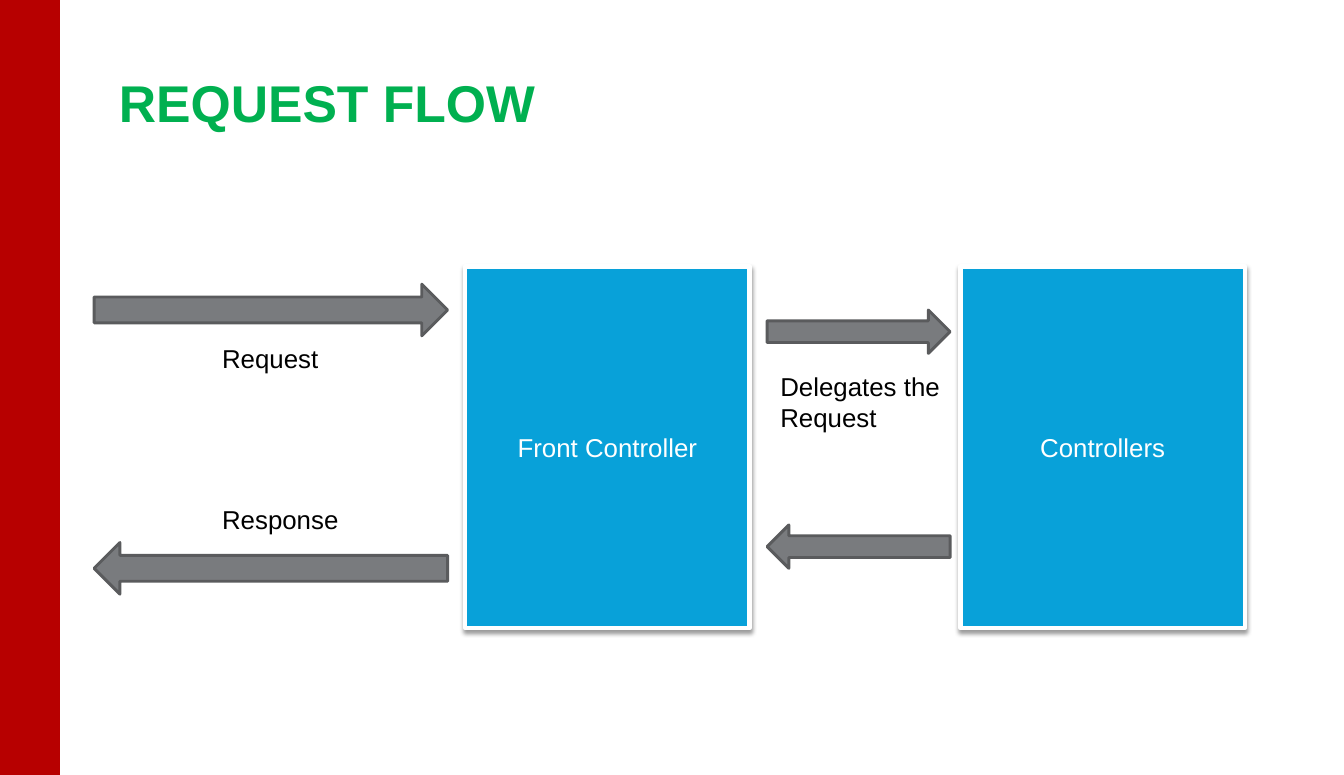
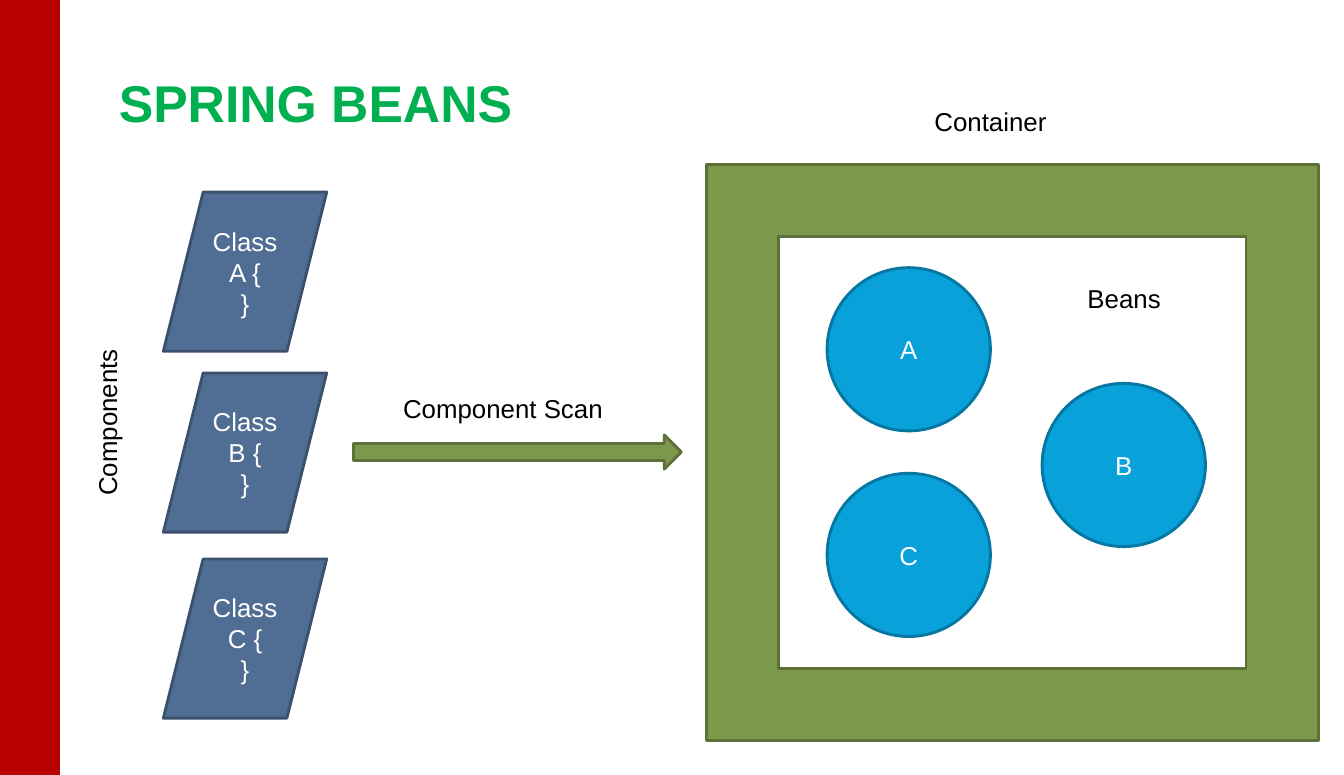
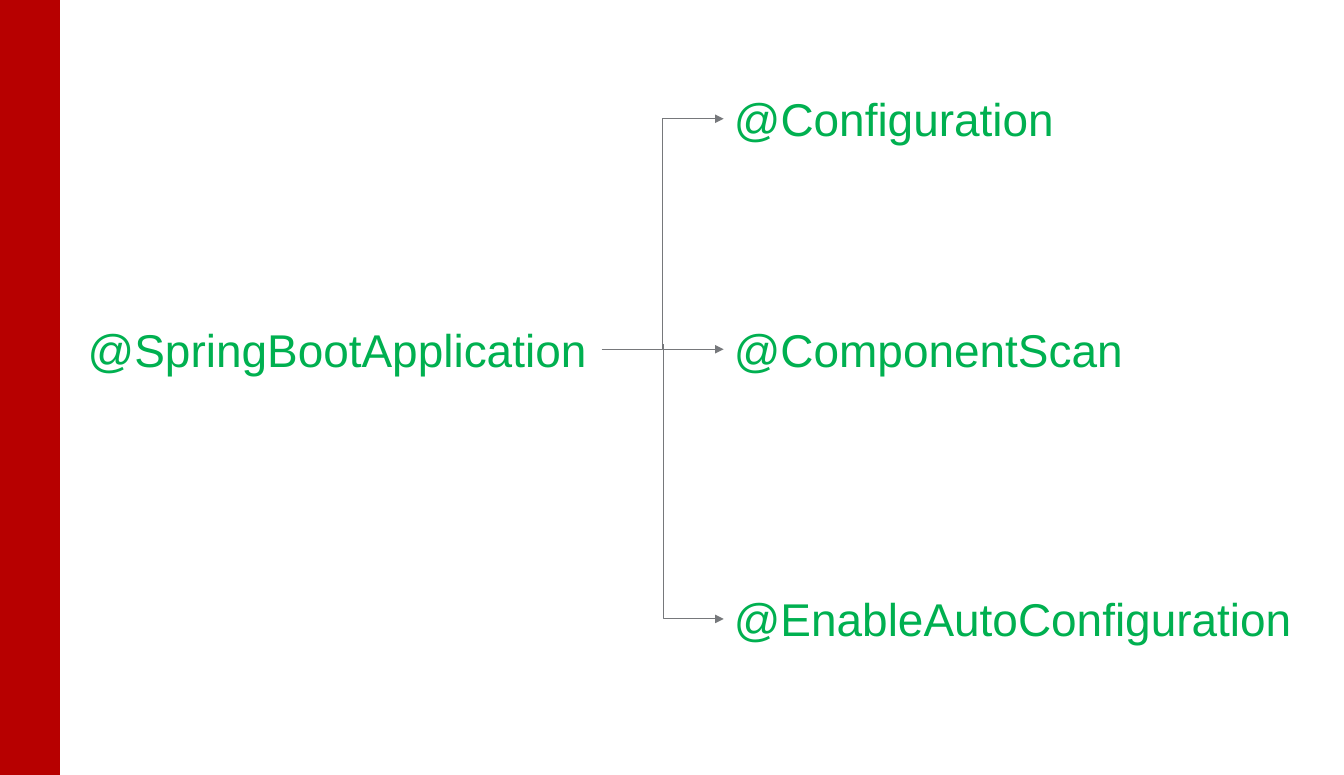
from lxml import etree
from pptx import Presentation
from pptx import util as u
from pptx.dml import color
from pptx.enum import shapes, text
from pptx.oxml import ns

Inches, Pt = u.Inches, u.Pt
SHAPE = shapes.MSO_SHAPE
FONT = "Arial"
COLORS = {
    "band": "B70000", "heading": "00B050", "text": "000000", "white": "FFFFFF",
    "blue": "08A1D9", "blue_edge": "0677A1",
    "gray": "797B7E", "gray_edge": "5A5B5D",
    "green": "7C984A", "green_edge": "5C7037",
    "navy": "506E94", "navy_edge": "3B516D",
    "link": "76787B",
}


def rgb(name):
    return color.RGBColor.from_string(COLORS[name])


def add_element(parent, tag, **attributes):
    return etree.SubElement(parent, ns.qn(tag), **attributes)


def write(box, lines, size, ink, bold=False, align=text.PP_ALIGN.LEFT):
    """Fill a box with one paragraph per line."""
    frame = box.text_frame
    for number, line in enumerate(lines):
        para = frame.add_paragraph() if number else frame.paragraphs[0]
        para.alignment = align
        span = para.add_run()
        span.text = line
        span.font.name, span.font.size, span.font.bold = FONT, Pt(size), bold
        span.font.color.rgb = rgb(ink)


def add_figure(slide, kind, place, fill, edge=None, lines=(), width=2, turn=0):
    """Preset shape with centred white text."""
    figure = slide.shapes.add_shape(kind, *map(Inches, place))
    figure.shadow.inherit = False
    figure.rotation = turn
    figure.fill.solid()
    figure.fill.fore_color.rgb = rgb(fill)
    if edge:
        figure.line.color.rgb = rgb(edge)
        figure.line.width = Pt(width)
    else:
        figure.line.fill.background()
    if lines:
        figure.text_frame.vertical_anchor = text.MSO_ANCHOR.MIDDLE
        write(figure, lines, 18, "white", align=text.PP_ALIGN.CENTER)
    return figure


def add_label(slide, place, *lines, size=18, ink="text", turn=0):
    """Unwrapped text box that hugs its text."""
    label = slide.shapes.add_textbox(*map(Inches, place))
    label.rotation = turn
    label.text_frame.word_wrap = False
    label.text_frame.auto_size = text.MSO_AUTO_SIZE.SHAPE_TO_FIT_TEXT
    write(label, lines, size, ink)


def add_title(slide, words):
    title = slide.shapes.add_textbox(Inches(0.92), Inches(0.58), Inches(10.92), Inches(2))
    title.text_frame.word_wrap = True
    title.text_frame.margin_left = Inches(0.23)
    title.text_frame.margin_top = Inches(0.11)
    write(title, [words], 36, "heading", bold=True)


def add_controller(slide, left, name):
    """Blue card with a white edge and a soft shadow below."""
    card = add_figure(slide, SHAPE.RECTANGLE, (left, 2.58, 2.75, 3.5),
                      "blue", "white", [name], width=3)
    effects = card.element.spPr.find(ns.qn("a:effectLst"))
    shadow = add_element(effects, "a:outerShdw", blurRad=str(Pt(3.1)), dist=str(Pt(1.6)),
                         dir="5400000", rotWithShape="0")
    ink = add_element(shadow, "a:srgbClr", val=COLORS["text"])
    add_element(ink, "a:alpha", val="38000")


def add_arrow(slide, start, end, kind=shapes.MSO_CONNECTOR.STRAIGHT):
    link = slide.shapes.add_connector(kind, *map(Inches, start + end))
    link.line.color.rgb = rgb("link")
    link.line.width = Pt(0.75)
    line = link.line._get_or_add_ln()
    add_element(line, "a:tailEnd", type="triangle")
    add_element(link.element.spPr, "a:effectLst")
    return link


def add_corner_arrow(slide, start, end):
    """One-bend arrow that runs down first, then right."""
    (x1, y1), (x2, y2) = start, end
    middle_x, middle_y = (x1 + x2) / 2, (y1 + y2) / 2
    half_w, half_h = (y2 - y1) / 2, (x2 - x1) / 2
    link = add_arrow(slide, (middle_x + half_w, middle_y - half_h),
                     (middle_x - half_w, middle_y + half_h), shapes.MSO_CONNECTOR.ELBOW)
    properties = link.element.spPr
    properties.find(ns.qn("a:xfrm")).set("rot", "16200000")
    properties.find(ns.qn("a:prstGeom")).set("prst", "bentConnector2")


def add_master_band(deck, slide):
    """Move the side band to the master, so every slide shows it."""
    band = add_figure(slide, SHAPE.RECTANGLE, (0, 0, 0.58, 7.5), "band")
    band.element.xpath("./p:nvSpPr/p:cNvPr")[0].set("id", "20")
    deck.slide_master.shapes.element.append(band.element)


def build_request_flow(slide):
    add_controller(slide, 4.5, "Front Controller")
    add_controller(slide, 9.29, "Controllers")
    # Outgoing arrows above, returning arrows below
    for left, width, height, tops in ((0.91, 3.42, 0.5, (2.75, 5.25)),
                                      (7.42, 1.77, 0.42, (3, 5.08))):
        for top, turn in zip(tops, (0, 180)):
            add_figure(slide, SHAPE.RIGHT_ARROW, (left, top, width, height),
                       "gray", "gray_edge", turn=turn)
    add_label(slide, (2.05, 3.27, 1.14, 0.4), "Request")
    add_label(slide, (2.05, 4.83, 1.34, 0.4), "Response")
    add_label(slide, (7.45, 3.54, 1.83, 0.71), "Delegates the", "Request")
    add_title(slide, "REQUEST FLOW")


def build_spring_beans(slide):
    add_title(slide, "SPRING BEANS")
    # Container and scan arrow
    add_figure(slide, SHAPE.FRAME, (6.83, 1.59, 5.92, 5.58), "green", "green_edge")
    add_figure(slide, SHAPE.RIGHT_ARROW, (3.42, 4.21, 3.17, 0.33), "green", "green_edge")
    # Beans
    for name, left, top in (("A", 8, 2.59), ("C", 8, 4.58), ("B", 10.08, 3.71)):
        add_figure(slide, SHAPE.OVAL, (left, top, 1.58, 1.58), "blue", "blue_edge", [name])
    # Component classes
    for name, top in (("A", 1.86), ("B", 3.61), ("C", 5.41)):
        add_figure(slide, SHAPE.PARALLELOGRAM, (1.58, top, 1.58, 1.54),
                   "navy", "navy_edge", [f"Class {name} {{", "}"])
    add_label(slide, (3.8, 3.75, 2.15, 0.4), "Component Scan")
    add_label(slide, (8.94, 0.97, 1.3, 0.4), "Container")
    add_label(slide, (10.42, 2.69, 0.92, 0.4), "Beans")
    add_label(slide, (0.22, 3.88, 1.63, 0.4), "Components", turn=270)


def build_annotations(slide):
    for name, left, top, width in (("@SpringBootApplication", 0.75, 3.06, 5.07),
                                   ("@Configuration", 7, 0.83, 3.32),
                                   ("@ComponentScan", 7, 3.06, 4),
                                   ("@EnableAutoConfiguration", 7, 5.67, 5.64)):
        add_label(slide, (left, top, width, 0.64), name, size=32, ink="heading")
    # Branches
    add_arrow(slide, (5.82, 3.38), (7, 1.15), shapes.MSO_CONNECTOR.ELBOW)
    add_corner_arrow(slide, (6.42, 3.33), (7, 5.99))
    add_arrow(slide, (6.42, 3.38), (7, 3.38))


def main():
    deck = Presentation()
    deck.slide_width, deck.slide_height = Inches(13), Inches(7.5)
    builders = (build_request_flow, build_spring_beans, build_annotations)
    pages = [deck.slides.add_slide(deck.slide_layouts[6]) for _ in builders]
    add_master_band(deck, pages[0])
    for build, page in zip(builders, pages):
        build(page)
    deck.save("out.pptx")


if __name__ == "__main__":
    main()
